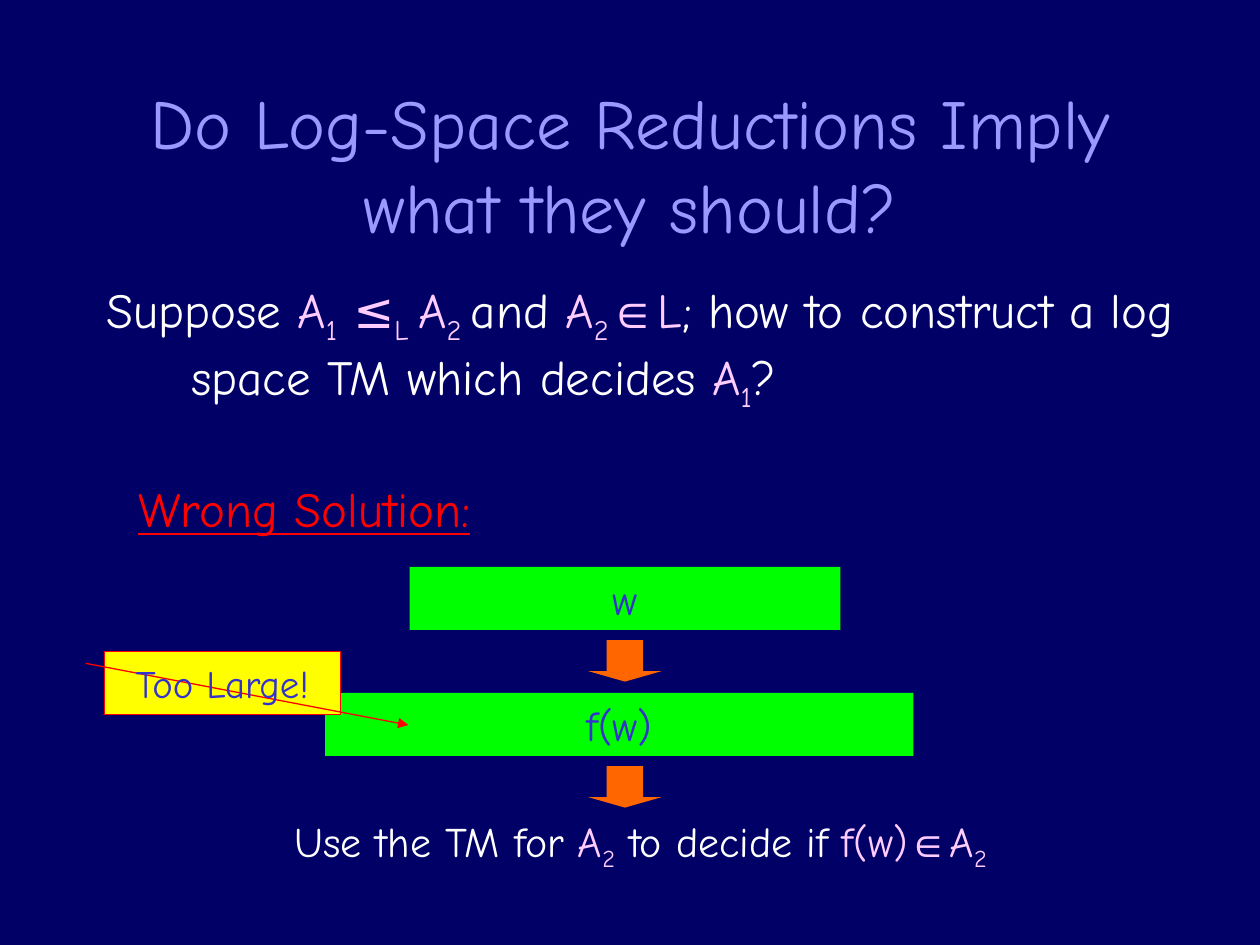
from pptx import Presentation
from pptx.dml.color import RGBColor
from pptx.enum import shapes, text
from pptx.oxml.ns import qn
from pptx.util import Inches, Pt
from lxml import etree

# Content: each text is a list of (words, colour, subscript)
FONT, SYMBOL_FONT = "Comic Neue", "Arial"
WHITE, PINK, LILAC, BLUE = "FFFFFF", "FFCCFF", "9999FF", "3333CC"
NAVY, RED, GREEN, ORANGE, YELLOW = "000066", "FF0000", "00FF00", "FF6600", "FFFF00"

TITLE = [("Do Log-Space Reductions Imply what they should?", LILAC, False)]
QUESTION = [
    ("Suppose ", WHITE, False), ("A", PINK, False), ("1", PINK, True),
    (" ≤", PINK, False), ("L ", PINK, True), ("A", PINK, False), ("2 ", PINK, True),
    ("and ", WHITE, False), ("A", PINK, False), ("2", PINK, True),
    ("∈", PINK, False), ("L", PINK, False),
    ("; how to construct a log space TM which decides ", WHITE, False),
    ("A", PINK, False), ("1", PINK, True), ("?", WHITE, False),
]
HEADING = [("Wrong Solution:", RED, False)]
CONCLUSION = [
    ("Use the TM for ", WHITE, False), ("A", PINK, False), ("2", PINK, True),
    (" to decide if ", WHITE, False), ("f(w)", PINK, False), ("∈", PINK, False),
    ("A", PINK, False), ("2", PINK, True),
]
STAGES = [("w", 3.25, 3.42), ("f(w)", 2.58, 4.67)]  # label, left, width
WARNING = [("Too Large!", BLUE, False)]
STAGE_TOP, STAGE_STEP, ARROW_OFFSET = 4.5, 1, 0.58


def color(code):
    return RGBColor.from_string(code)


def write(shape, pieces, size, align=text.PP_ALIGN.CENTER, before=0, hanging=0,
          underline=None, anchor=text.MSO_ANCHOR.TOP, grow=False):
    frame = shape.text_frame
    frame.word_wrap = True
    frame.vertical_anchor = anchor
    frame.auto_size = (text.MSO_AUTO_SIZE.SHAPE_TO_FIT_TEXT if grow
                       else text.MSO_AUTO_SIZE.NONE)
    para = frame.paragraphs[0]
    para.alignment = align
    para.space_before = Pt(before)
    if hanging:
        props = para._p.get_or_add_pPr()
        props.set("marL", str(Inches(hanging)))
        props.set("indent", str(-Inches(hanging)))
    for words, code, subscript in pieces:
        span = para.add_run()
        span.text = words
        span.font.name = SYMBOL_FONT if words == "∈" else FONT
        span.font.size = Pt(size)
        span.font.underline = underline
        span.font.color.rgb = color(code)
        if subscript:
            span._r.get_or_add_rPr().set("baseline", "-25000")


def add_box(page, kind, left, top, width, height, fill, line=None):
    box = page.shapes.add_shape(kind, Inches(left), Inches(top),
                                Inches(width), Inches(height))
    box.shadow.inherit = False
    box.fill.solid()
    box.fill.fore_color.rgb = color(fill)
    if line:
        box.line.color.rgb = color(line)
        box.line.width = Pt(0.75)
    else:
        box.line.fill.background()
    return box


def add_text(page, left, top, width, height, pieces, size, **style):
    box = page.shapes.add_textbox(Inches(left), Inches(top),
                                  Inches(width), Inches(height))
    write(box, pieces, size, **style)


def main():
    deck = Presentation()
    deck.slide_width, deck.slide_height = Inches(10), Inches(7.5)
    page = deck.slides.add_slide(deck.slide_layouts[5])
    page.background.fill.solid()
    page.background.fill.fore_color.rgb = color(NAVY)

    # Title, question and heading
    title = page.shapes.title
    title.left, title.top = Inches(0.75), Inches(0.67)
    title.width, title.height = Inches(8.5), Inches(1.25)
    write(title, TITLE, 40, anchor=text.MSO_ANCHOR.MIDDLE)
    add_text(page, 0.75, 2.17, 8.75, 1.33, QUESTION, 28,
             align=text.PP_ALIGN.LEFT, before=7, hanging=0.67)
    add_text(page, 0.83, 3.75, 3.17, 0.57, HEADING, 28, before=17.5,
             underline=True, grow=True)

    # Stages, each followed by an arrow
    for index, (label, left, width) in enumerate(STAGES):
        top = STAGE_TOP + index * STAGE_STEP
        bar = add_box(page, shapes.MSO_SHAPE.RECTANGLE, left, top, width, 0.5, GREEN)
        write(bar, [(label, BLUE, False)], 24, before=15,
              anchor=text.MSO_ANCHOR.MIDDLE, grow=True)
        arrow = add_box(page, shapes.MSO_SHAPE.DOWN_ARROW, 4.67, top + ARROW_OFFSET,
                        0.58, 0.33, ORANGE)
        arrow.adjustments[0], arrow.adjustments[1] = 0.5, 0.25

    add_text(page, 1.75, 6.42, 6.67, 0.56, CONCLUSION, 24, before=15, grow=True)

    # Warning callout pointing at the second stage
    callout = add_box(page, shapes.MSO_SHAPE.LINE_CALLOUT_1, 0.83, 5.17, 1.87, 0.5,
                      YELLOW, line=RED)
    for index, value in enumerate((0.19, -0.08, 1.17, 1.29)):
        callout.adjustments[index] = value
    outline = callout.line._get_or_add_ln()
    etree.SubElement(outline, qn("a:tailEnd")).set("type", "triangle")
    write(callout, WARNING, 22.2, before=15, anchor=text.MSO_ANCHOR.MIDDLE)

    deck.save("out.pptx")


if __name__ == "__main__":
    main()
